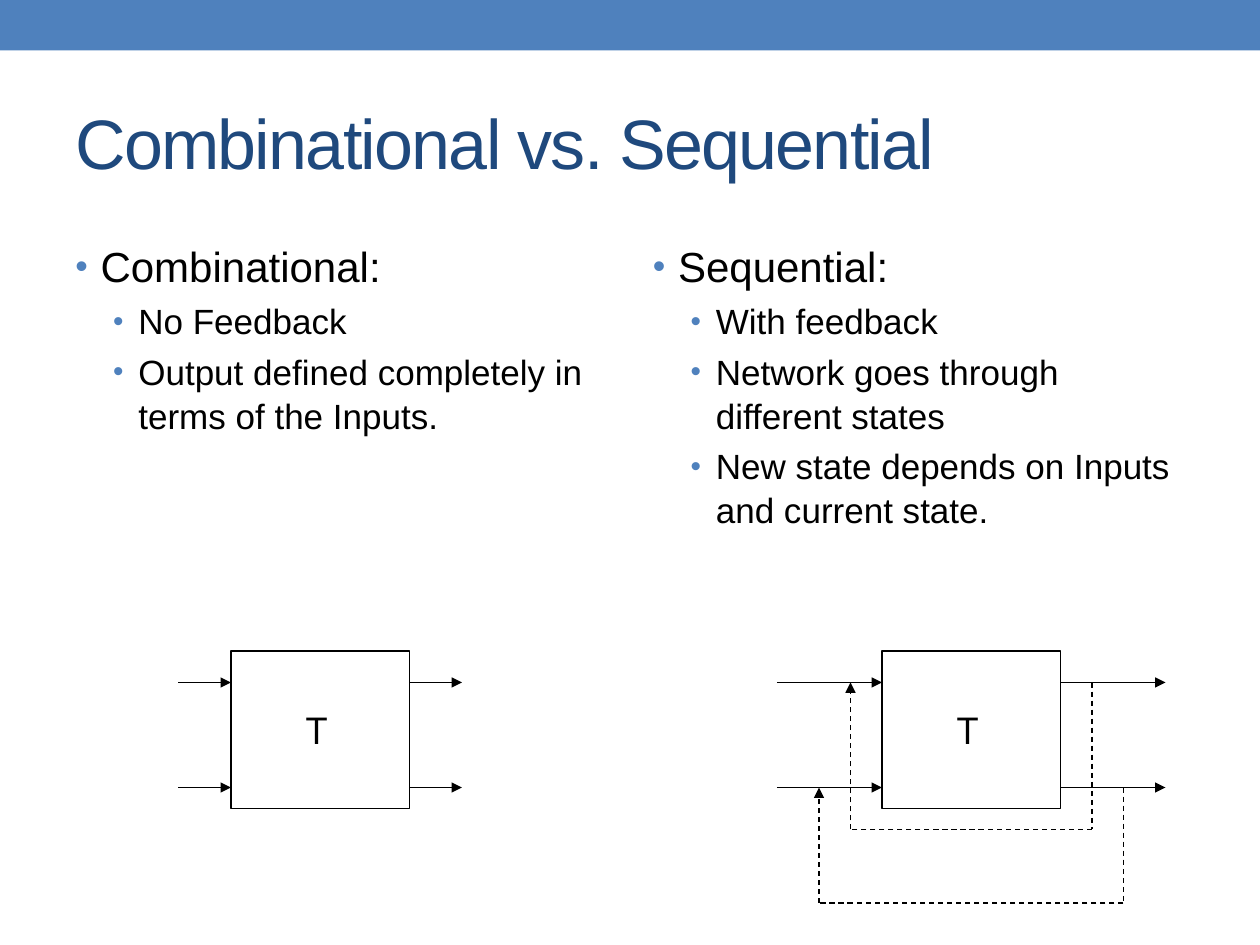
from dataclasses import dataclass

from lxml import etree
from pptx import Presentation
from pptx import util as u
from pptx.dml.color import RGBColor
from pptx.enum import dml, shapes, text
from pptx.oxml import ns

Pt = u.Pt


@dataclass(frozen=True)
class Theme:
    accent: RGBColor = RGBColor(0x4F, 0x81, 0xBD)
    heading: RGBColor = RGBColor(0x1F, 0x49, 0x7D)
    ink: RGBColor = RGBColor(0, 0, 0)
    font: str = "Arial"
    label_font: str = "Karla"
    title_size: int = 40
    level_sizes: tuple = (24, 20)
    label_size: int = 24
    line_width: float = 0.75


THEME = Theme()


def sub(parent, tag, **attrs):
    return etree.SubElement(parent, ns.qn(tag), **attrs)


def set_font(p, size, color, name=THEME.font):
    p.font.name = name
    p.font.size = Pt(size)
    p.font.color.rgb = color


def add_text(parent, x, y, w, h):
    sp = parent.shapes.add_textbox(Pt(x), Pt(y), Pt(w), Pt(h))
    tf = sp.text_frame
    tf.word_wrap = True
    return tf


def add_rect(parent, x, y, w, h):
    sp = parent.shapes.add_shape(
        shapes.MSO_SHAPE.RECTANGLE, Pt(x), Pt(y), Pt(w), Pt(h))
    sp.shadow.inherit = False
    return sp


def add_banner(s):
    sp = add_rect(s, 0, 0, 720, 28.8)
    sp.fill.solid()
    sp.fill.fore_color.rgb = THEME.accent
    sp.line.fill.background()


def add_title(s, title):
    tf = add_text(s, 36, 42, 648, 78)
    tf.vertical_anchor = text.MSO_ANCHOR.MIDDLE
    p = tf.paragraphs[0]
    r = p.add_run()
    r.text = title
    r._r.get_or_add_rPr().set("spc", "-100")
    set_font(p, THEME.title_size, THEME.heading)


def add_bullet(p, level):
    pPr = p._p.get_or_add_pPr()
    pPr.set("marL", str(Pt(14.4 + 21.6 * level)))
    pPr.set("indent", str(-Pt(14.4)))
    sub(sub(pPr, "a:buClr"), "a:srgbClr", val=str(THEME.accent))
    sub(pPr, "a:buSzPct", val="85000")
    sub(pPr, "a:buFont", typeface=THEME.font)
    sub(pPr, "a:buChar", char="•")


def add_column(s, x, heading, points):
    tf = add_text(s, x, 133, 318, 370)
    for i, line in enumerate([heading, *points]):
        p = tf.paragraphs[0] if i == 0 else tf.add_paragraph()
        level = min(i, 1)
        size = THEME.level_sizes[level]
        p.text = line
        p.level = level
        add_bullet(p, level)
        p.line_spacing = 1.04
        p.space_before = Pt(0.2 * size if i else 0)
        set_font(p, size, THEME.ink)


def add_wire(parent, start, end, arrow=True, dashed=False):
    c = parent.shapes.add_connector(
        shapes.MSO_CONNECTOR.STRAIGHT, *map(Pt, start + end))
    c.line.color.rgb = THEME.ink
    c.line.width = Pt(THEME.line_width)
    if dashed:
        c.line.dash_style = dml.MSO_LINE.DASH
    if arrow:
        sub(c.line._get_or_add_ln(), "a:tailEnd", type="triangle")
    sub(c._element.spPr, "a:effectLst")


def add_feedback(parent, left, right, top, bottom):
    route = [(right, top), (right, bottom), (left, bottom), (left, top)]
    for i, (start, end) in enumerate(zip(route, route[1:])):
        add_wire(parent, start, end, arrow=i == 2, dashed=True)


def add_network(s, x, lead, feedback_levels=()):
    top, width, height = 372, 102, 90
    right = x + width
    rows = (top + 18, top + 78)
    group = s.shapes.add_group_shape()
    sp = add_rect(group, x, top, width, height)
    sp.fill.background()
    sp.line.color.rgb = THEME.ink
    sp.line.width = Pt(THEME.line_width)
    p = add_text(group, x + 36, top + 26, 24, 36).paragraphs[0]
    p.text = "T"
    set_font(p, THEME.label_size, THEME.ink, THEME.label_font)
    for start in (x - lead, right):
        for y in rows:
            add_wire(group, (start, y), (start + lead, y))
    for i, (y, bottom) in enumerate(zip(rows, feedback_levels), 1):
        add_feedback(group, x - 18 * i, right + 18 * i, y, bottom)


def main():
    prs = Presentation()
    prs.slide_width, prs.slide_height = Pt(720), Pt(540)
    s = prs.slides.add_slide(prs.slide_layouts[6])
    add_banner(s)
    add_title(s, "Combinational vs. Sequential")
    add_column(s, 36, "Combinational:", [
        "No Feedback",
        "Output defined completely in terms of the Inputs.",
    ])
    add_column(s, 366, "Sequential:", [
        "With feedback",
        "Network goes through different states",
        "New state depends on Inputs and current state.",
    ])
    add_network(s, 132, lead=30)
    add_network(s, 504, lead=60, feedback_levels=(474, 516))
    prs.save("out.pptx")


if __name__ == "__main__":
    main()
